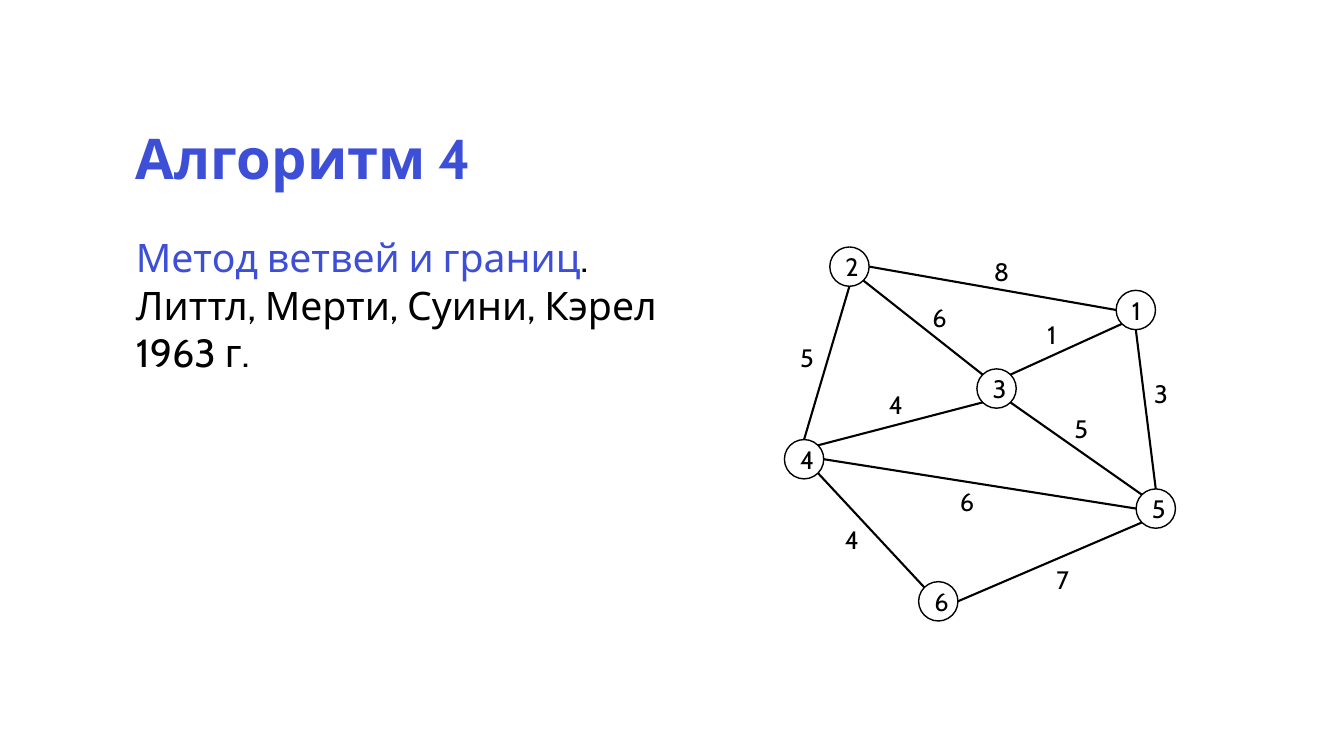
from collections import namedtuple
from math import cos, radians, sin

from lxml.etree import SubElement
from pptx import Presentation
from pptx.dml.color import RGBColor
from pptx.enum.shapes import MSO_CONNECTOR as Connector, MSO_SHAPE as Shape
from pptx.enum.text import MSO_ANCHOR as Anchor, MSO_AUTO_SIZE as AutoSize, PP_ALIGN as Align
from pptx.oxml.ns import qn
from pptx.util import Inches, Pt

Box = namedtuple("Box", "left top width height")

BLUE = RGBColor(0x3D, 0x4E, 0xD7)
BLACK = RGBColor(0, 0, 0)
WHITE = RGBColor(255, 255, 255)

SLIDE_WIDTH, SLIDE_HEIGHT = 13.33, 7.5
TEXT_AREA = Box(1.25, 1.25, 5.41, 3.01)
GRAPH_AREA = Box(7.78, 2.45, 3.88, 3.71)
NODE_SIZE = 0.39
LABEL_HEIGHT = 0.4

TITLE = {"size": Pt(40), "bold": True}
BODY = {"size": Pt(28)}
DIGIT = {"size": Pt(18)}

NODES = {
    1: (84.8, 11.6),
    4: (0, 51.5),
    3: (49.2, 32.6),
    2: (11.6, 0),
    6: (34.3, 89.5),
    5: (89.9, 64.7),
}
ANGLES = {"E": 0, "SE": 45, "S": 90, "SW": 135, "W": 180, "NW": 225, "N": 270, "NE": 315}
EDGES = [
    (4, "NE", 3, "SW", "4", (24.2, 36.7, 15.2)),
    (1, "W", 2, "E", "8", (51, 1.1, 11.3)),
    (3, "NE", 1, "SW", "1", (64.7, 18.1, 11.3)),
    (3, "SE", 5, "NW", "5", (71.6, 43.1, 15.2)),
    (1, "S", 5, "N", "3", (92, 33.7, 15.2)),
    (4, "SE", 6, "NW", "4", (12.9, 72.8, 15.2)),
    (6, "E", 5, "SW", "7", (67, 83.6, 15.2)),
    (4, "E", 5, "W", "6", (42.3, 62.8, 15.2)),
    (3, "NW", 2, "SE", "6", (35.3, 13.5, 8.8)),
    (2, "S", 4, "N", "5", (1.5, 24.3, 8.5)),
]


def inches(values):
    return [Inches(value) for value in values]


def point_in(area, across, down):
    return area.left + area.width * across / 100, area.top + area.height * down / 100


def add_span(para, text, style, color=BLACK):
    span = para.add_run()
    span.text = text
    for name, value in {"name": "Cabin", **style}.items():
        setattr(span.font, name, value)
    span.font.color.rgb = color


def add_text(page, box, paragraphs, style, auto_size=AutoSize.NONE):
    frame = page.shapes.add_textbox(*inches(box)).text_frame
    frame.word_wrap = True
    frame.auto_size = auto_size
    for index, spans in enumerate(paragraphs):
        para = frame.add_paragraph() if index else frame.paragraphs[0]
        for text, color in spans:
            add_span(para, text, style, color)
    return frame


def add_node(page, box, number):
    node = page.shapes.add_shape(Shape.OVAL, *inches(box))
    node.shadow.inherit = False
    node.fill.solid()
    node.fill.fore_color.rgb = WHITE
    node.line.color.rgb = BLACK
    node.line.width = Pt(1)
    frame = node.text_frame
    frame.vertical_anchor = Anchor.MIDDLE
    frame.paragraphs[0].alignment = Align.CENTER
    add_span(frame.paragraphs[0], str(number), DIGIT)


def node_site(area, number, side):
    left, top = point_in(area, *NODES[number])
    radius, angle = NODE_SIZE / 2, radians(ANGLES[side])
    return left + radius * (1 + cos(angle)), top + radius * (1 + sin(angle))


def add_edge(page, start, end):
    edge = page.shapes.add_connector(Connector.STRAIGHT, *inches(start + end))
    edge.line.color.rgb = BLACK
    edge.line.width = Pt(1.5)
    SubElement(edge._element.spPr, qn("a:effectLst"))


def add_description(page, area):
    title_box = area._replace(height=0.77)
    body_box = area._replace(top=area.top + 1.02, height=area.height - 1.02)
    title = add_text(page, title_box, [[("Алгоритм 4", BLUE)]], TITLE)
    title.paragraphs[0].line_spacing = 0.9
    paragraphs = [
        [("Метод ветвей и границ", BLUE), (".", BLACK)],
        [("Литтл, Мерти, Суини, Кэрел 1963 г.", BLACK)],
    ]
    add_text(page, body_box, paragraphs, BODY, AutoSize.SHAPE_TO_FIT_TEXT)


def add_graph(page, area):
    for number, place in NODES.items():
        add_node(page, Box(*point_in(area, *place), NODE_SIZE, NODE_SIZE), number)
    for first, first_side, second, second_side, _, _ in EDGES:
        add_edge(page, node_site(area, first, first_side), node_site(area, second, second_side))
    for *_, weight, (across, down, width) in EDGES:
        box = Box(*point_in(area, across, down), area.width * width / 100, LABEL_HEIGHT)
        add_text(page, box, [[(weight, BLACK)]], DIGIT, AutoSize.SHAPE_TO_FIT_TEXT)


def main():
    deck = Presentation()
    deck.slide_width, deck.slide_height = inches((SLIDE_WIDTH, SLIDE_HEIGHT))
    page = deck.slides.add_slide(deck.slide_layouts[6])
    page.background.fill.solid()
    page.background.fill.fore_color.rgb = WHITE
    add_description(page, TEXT_AREA)
    add_graph(page, GRAPH_AREA)
    deck.save("out.pptx")


if __name__ == "__main__":
    main()
